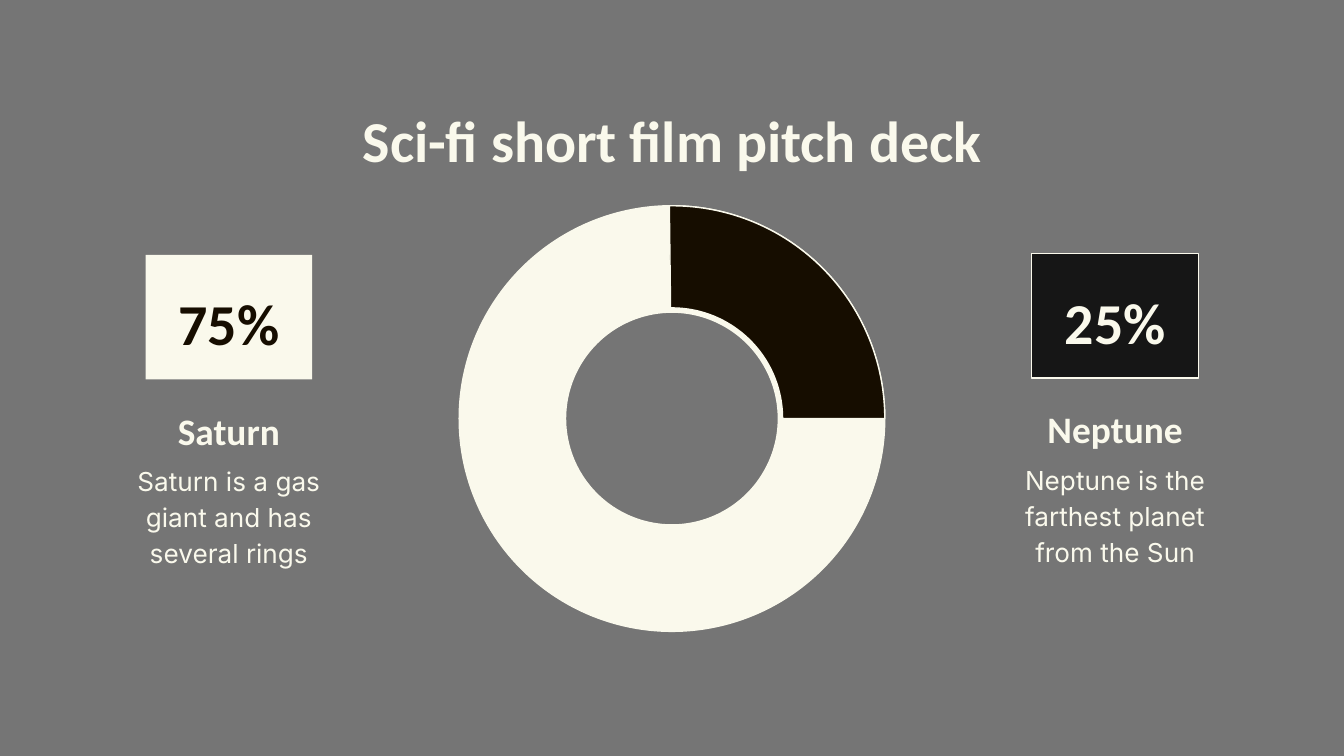
from pptx import Presentation
from pptx.dml.color import RGBColor
from pptx.enum.shapes import MSO_SHAPE
from pptx.enum.text import MSO_ANCHOR, PP_ALIGN
from pptx.util import Pt

PX = 9525  # EMU per px, 96 px to the inch
RECTANGLE, DONUT, BLOCK_ARC = MSO_SHAPE.RECTANGLE, MSO_SHAPE.DONUT, MSO_SHAPE.BLOCK_ARC
TOP, MIDDLE = MSO_ANCHOR.TOP, MSO_ANCHOR.MIDDLE
CENTER = PP_ALIGN.CENTER
CREAM, BROWN, BLACK, GRAY = "FAF9EC", "160D00", "161616", "757575"


def add_shape(shapes, kind, box, fill, line=None):
    shape = shapes.add_shape(kind, *[value * PX for value in box])
    shape.shadow.inherit = False
    shape.fill.solid()
    shape.fill.fore_color.rgb = RGBColor.from_string(fill)
    if line:
        shape.line.color.rgb = RGBColor.from_string(line)
        shape.line.width = Pt(0.75)
    else:
        shape.line.fill.background()
    return shape


def write(shape, text, size, color=CREAM, font="Calibri", anchor=MIDDLE):
    """Fill the shape with one centred paragraph; Calibri text is bold."""
    frame = shape.text_frame
    frame.word_wrap = True
    frame.vertical_anchor = anchor
    frame.margin_left = frame.margin_right = 10 * PX
    frame.margin_top = frame.margin_bottom = 10 * PX
    paragraph = frame.paragraphs[0]
    paragraph.alignment = CENTER
    paragraph.line_spacing = 1.15
    run = paragraph.add_run()
    run.text = text
    run.font.name = font
    run.font.size = Pt(size)
    run.font.bold = font == "Calibri"
    run.font.color.rgb = RGBColor.from_string(color)


presentation = Presentation()
presentation.slide_width = 960 * PX
presentation.slide_height = 540 * PX
slide = presentation.slides.add_slide(presentation.slide_layouts[6])
slide.background.fill.solid()
slide.background.fill.fore_color.rgb = RGBColor.from_string(GRAY)

title = slide.shapes.add_textbox(76 * PX, 57 * PX, 808 * PX, 66 * PX)
write(title, "Sci-fi short film pitch deck", 31, anchor=TOP)

# Ring with its top right quarter covered by a dark arc
ring_box = (328, 147, 304, 304)
ring = add_shape(slide.shapes, DONUT, ring_box, CREAM, CREAM)
ring.adjustments[0] = 0.25
quarter = add_shape(slide.shapes, BLOCK_ARC, ring_box, BROWN, CREAM)
quarter.adjustments[0] = 161.58  # start angle, 269.3 degrees
quarter.adjustments[1] = 0
quarter.adjustments[2] = 0.24

planets = [
    (75, 182, "75%", CREAM, None, BROWN, "Saturn",
     "Saturn is a gas giant and has several rings"),
    (708, 181, "25%", BLACK, CREAM, CREAM, "Neptune",
     "Neptune is the farthest planet from the Sun"),
]
for left, top, share, fill, line, color, name, description in planets:
    shapes = slide.shapes.add_group_shape().shapes
    share_box = add_shape(shapes, RECTANGLE, (left + 29, top, 119, 89), fill, line)
    write(share_box, share, 31, color)
    name_box = shapes.add_textbox(left * PX, (top + 95) * PX, 177 * PX, 56 * PX)
    write(name_box, name, 20)
    description_box = shapes.add_textbox(left * PX, (top + 137) * PX, 177 * PX, 98 * PX)
    write(description_box, description, 14, font="Inter", anchor=TOP)
    description_box.text_frame.paragraphs[0].space_after = Pt(16)

presentation.save("out.pptx")
